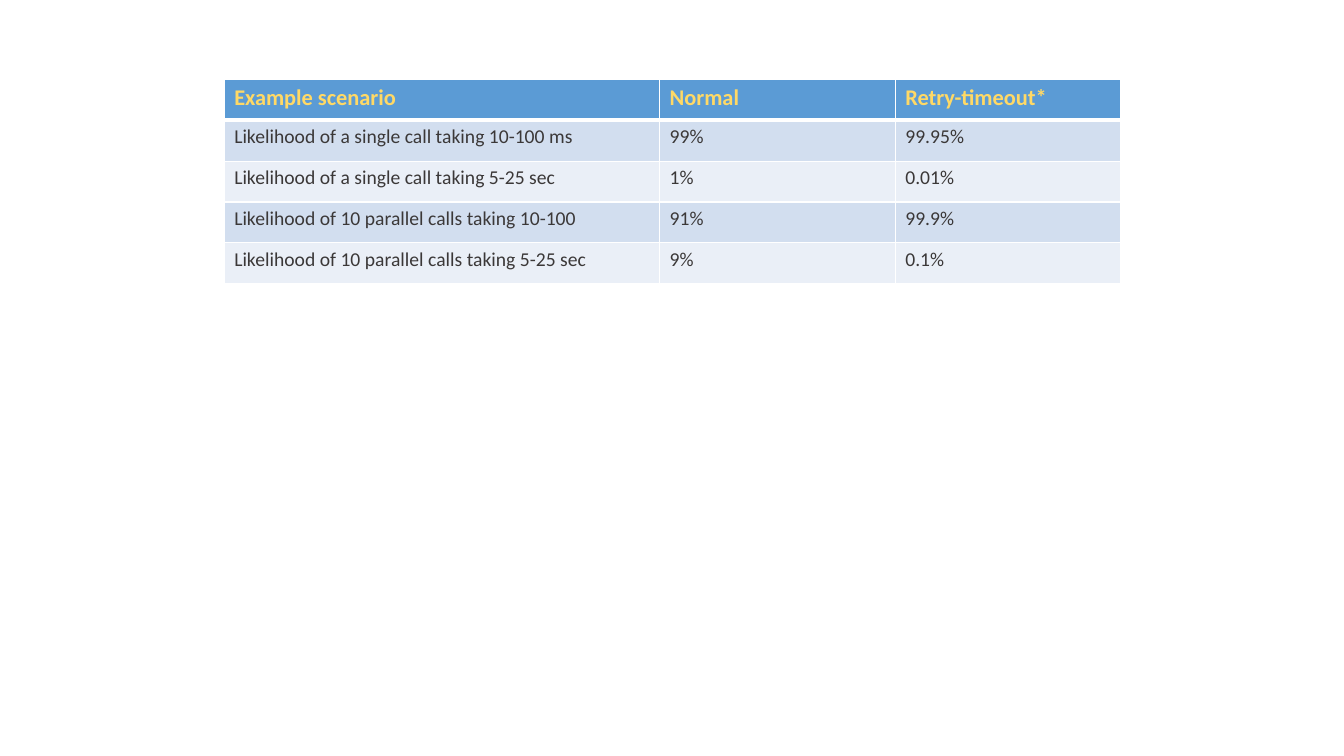
from lxml.etree import SubElement
from pptx import Presentation
from pptx.dml.color import RGBColor
from pptx.oxml.ns import qn
from pptx.util import Cm, Pt

COLORS = {
    "header": "5B9BD5",
    "header_text": "FFD966",
    "odd_row": "D2DEEF",
    "even_row": "EAEFF7",
    "body_text": "3B3838",
    "border": "FFFFFF",
}
SCENARIOS = [
    ("Example scenario", "Normal", "Retry-timeout*"),
    ("Likelihood of a single call taking 10-100 ms", "99%", "99.95%"),
    ("Likelihood of a single call taking 5-25 sec", "1%", "0.01%"),
    ("Likelihood of 10 parallel calls taking 10-100", "91%", "99.9%"),
    ("Likelihood of 10 parallel calls taking 5-25 sec", "9%", "0.1%"),
]
COLUMN_SHARES = (0.486, 0.263, 0.251)


def color(name):
    """Return the named colour."""
    return RGBColor.from_string(COLORS[name])


def add_borders(cell, top, bottom):
    """Draw the cell's borders, with top and bottom widths in points."""
    properties = cell._tc.get_or_add_tcPr()
    for side, width in (("L", 1), ("R", 1), ("T", top), ("B", bottom)):
        border = SubElement(properties, qn(f"a:ln{side}"), w=str(Pt(width)))
        fill = SubElement(border, qn("a:solidFill"))
        SubElement(fill, qn("a:srgbClr"), val=COLORS["border"])


def format_cell(cell, text, row):
    """Fill one cell with its text and the style of its row."""
    is_header = row == 0
    add_borders(cell, top=3 if row == 1 else 1, bottom=3 if is_header else 1)
    band = "header" if is_header else "odd_row" if row % 2 else "even_row"
    cell.fill.solid()
    cell.fill.fore_color.rgb = color(band)
    cell.text = text
    font = cell.text_frame.paragraphs[0].font
    font.name = "Calibri"
    font.size = Pt(16 if is_header else 14)
    font.bold = is_header
    font.color.rgb = color("header_text" if is_header else "body_text")


def add_likelihoods(slide, left, top, width, height):
    """Place the table of call likelihoods in the given box."""
    likelihoods = slide.shapes.add_table(
        len(SCENARIOS), len(COLUMN_SHARES), left, top, width, height
    ).table
    for column, share in zip(likelihoods.columns, COLUMN_SHARES):
        column.width = int(width * share)
    for row, scenario in enumerate(SCENARIOS):
        for column, text in enumerate(scenario):
            format_cell(likelihoods.cell(row, column), text, row)


def main():
    """Build and save the slide."""
    presentation = Presentation()
    presentation.slide_width, presentation.slide_height = Cm(33.87), Cm(19.05)
    slide = presentation.slides.add_slide(presentation.slide_layouts[6])
    add_likelihoods(slide, Cm(5.65), Cm(2), Cm(22.58), Cm(5.15))
    presentation.save("out.pptx")


main()
